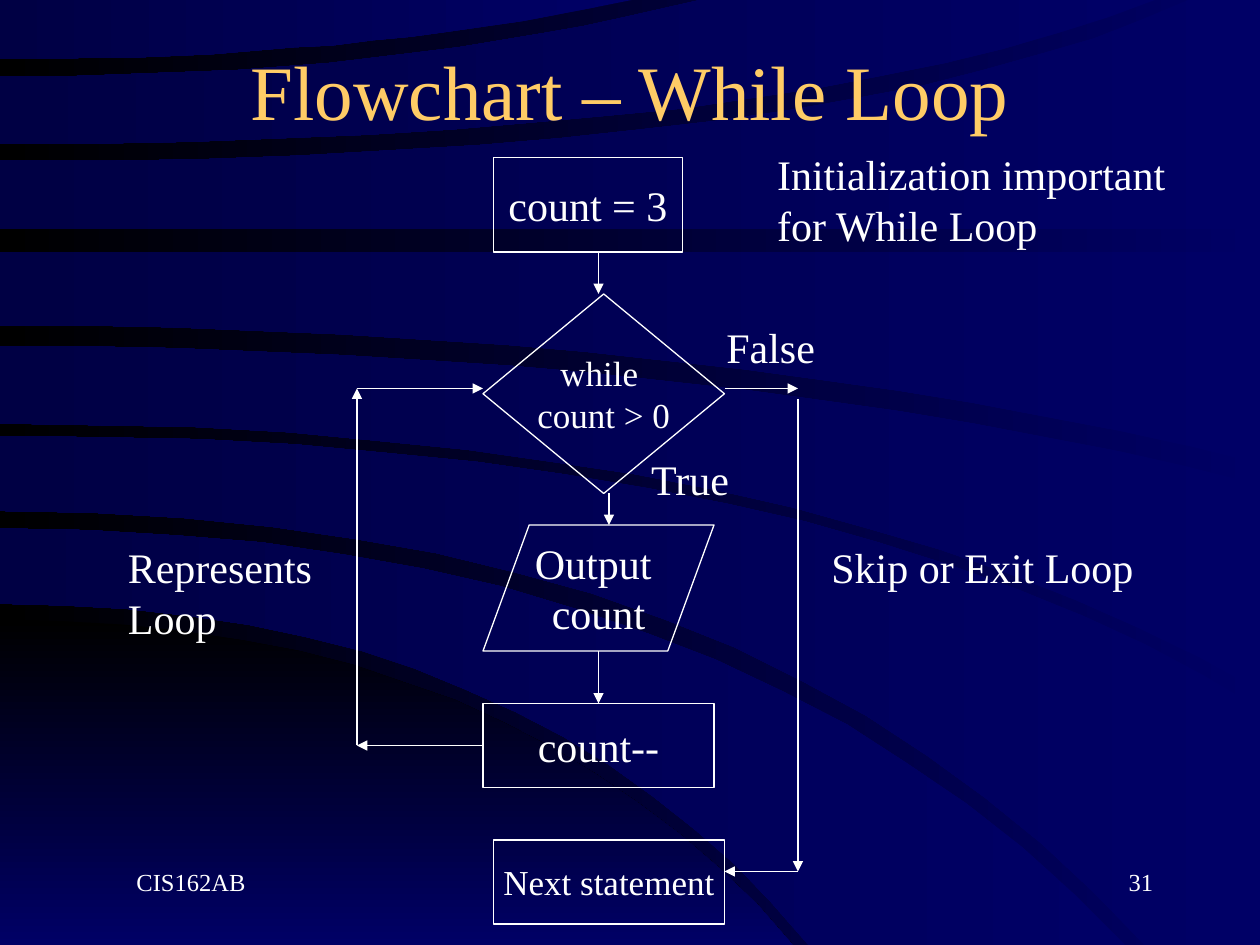
"""Build the slide with the flowchart of a while loop."""
from lxml import etree
from pptx import Presentation
from pptx.dml.color import RGBColor
from pptx.enum.shapes import MSO_CONNECTOR, MSO_SHAPE
from pptx.enum.text import MSO_ANCHOR, PP_ALIGN
from pptx.oxml.ns import qn
from pptx.util import Pt

PROCESS = MSO_SHAPE.FLOWCHART_PROCESS
DECISION = MSO_SHAPE.FLOWCHART_DECISION
DATA = MSO_SHAPE.FLOWCHART_DATA
RECTANGLE = MSO_SHAPE.RECTANGLE
STRAIGHT = MSO_CONNECTOR.STRAIGHT
LEFT, CENTER, RIGHT = PP_ALIGN.LEFT, PP_ALIGN.CENTER, PP_ALIGN.RIGHT
MIDDLE = MSO_ANCHOR.MIDDLE

WHITE = RGBColor(0xFF, 0xFF, 0xFF)
GOLD = RGBColor(0xFF, 0xCC, 0x66)
BLACK = RGBColor(0x00, 0x00, 0x00)
BLUE = RGBColor(0x00, 0x00, 0x66)
NAVY = RGBColor(0x00, 0x00, 0x44)

FONT = "Times New Roman"
TOP_SIDE, LEFT_SIDE = 0, 1
CURVE_STEPS = 16
WIDTH, HEIGHT = 720, 540

HILL = (354, 294, 453, HEIGHT), (HEIGHT, 226, 453, HEIGHT), []
BANDS = [
    ((302, 418, 643, HEIGHT), (345, 302, 462, HEIGHT), []),
    ((249, 472, WIDTH, 405), (292, 432, 654, HEIGHT), [(WIDTH, HEIGHT)]),
    ((198, 404, WIDTH, 277), (242, 458, WIDTH, 395), []),
    ((144, 360, WIDTH, 144), (186, 400, WIDTH, 265), []),
    ((92, 480, 679, 0), (131, 360, WIDTH, 131), [(WIDTH, 0)]),
    ((44, 226, 400, 0), (82, 450, 660, 0), []),
    ((0, 180, 361, 0), (34, 200, 361, 0), []),
]


def set_gradient(fill, start, end, angle):
    """Give a fill a linear gradient of two colours."""
    fill.gradient()
    fill.gradient_angle = angle
    for stop, color in zip(fill.gradient_stops, (start, end)):
        stop.color.rgb = color


def curve_points(start_y, control_x, end_x, end_y):
    """Return points of a quadratic curve that leaves the left edge level."""
    points = []
    for step in range(CURVE_STEPS + 1):
        t = step / CURVE_STEPS
        x = 2 * t * (1 - t) * control_x + t * t * end_x
        points.append((x, start_y + t * t * (end_y - start_y)))
    return points


def add_band(slide, band, start, end, angle):
    """Draw the area between an upper and a lower curve."""
    upper, lower, corners = band
    points = curve_points(*upper) + corners + curve_points(*lower)[::-1]
    builder = slide.shapes.build_freeform(*points[0], scale=Pt(1))
    builder.add_line_segments(points[1:], close=True)
    shape = builder.convert_to_shape()
    shape.shadow.inherit = False
    shape.line.fill.background()
    set_gradient(shape.fill, start, end, angle)


def write_text(shape, lines, size, color=WHITE, alignment=LEFT, wrap=True):
    """Write one paragraph whose lines are parted by line breaks."""
    shape.text_frame.word_wrap = wrap
    paragraph = shape.text_frame.paragraphs[0]
    paragraph.alignment = alignment
    for index, line in enumerate(lines):
        if index:
            paragraph.add_line_break()
        run = paragraph.add_run()
        run.text = line
        run.font.name = FONT
        run.font.size = Pt(size)
        run.font.color.rgb = color


def add_title(slide, text):
    """Place the title in front of the bands."""
    title = slide.shapes.title
    title.element.getparent().append(title.element)
    title.left, title.top, title.width, title.height = Pt(54), Pt(18), Pt(612), Pt(66)
    title.text_frame.vertical_anchor = MIDDLE
    write_text(title, [text], 44, GOLD, CENTER)


def add_step(slide, kind, box, lines, size):
    """Add one outlined flowchart symbol."""
    shape = slide.shapes.add_shape(kind, *map(Pt, box))
    shape.shadow.inherit = False
    shape.fill.background()
    shape.line.color.rgb = WHITE
    shape.line.width = Pt(0.75)
    shape.text_frame.vertical_anchor = MIDDLE
    write_text(shape, lines, size, alignment=CENTER, wrap=False)
    return shape


def add_arrow(slide, start, end):
    """Add a straight arrow between two points."""
    arrow = slide.shapes.add_connector(STRAIGHT, *map(Pt, start + end))
    arrow.line.color.rgb = WHITE
    arrow.line.width = Pt(0.75)
    line = arrow.element.spPr.find(qn("a:ln"))
    etree.SubElement(line, qn("a:tailEnd"), type="triangle")
    etree.SubElement(arrow.element.spPr, qn("a:effectLst"))
    return arrow


def add_label(slide, box, text, size=24, alignment=LEFT, wrap=True):
    """Add a text box and return it."""
    label = slide.shapes.add_textbox(*map(Pt, box))
    write_text(label, [text], size, alignment=alignment, wrap=wrap)
    return label


def main():
    """Build and save the slide."""
    presentation = Presentation()
    presentation.slide_width, presentation.slide_height = Pt(WIDTH), Pt(HEIGHT)
    slide = presentation.slides.add_slide(presentation.slide_layouts[5])
    set_gradient(slide.background.fill, BLUE, BLACK, 180)
    add_band(slide, HILL, BLACK, BLUE, 270)
    for band in BANDS:
        add_band(slide, band, BLUE, NAVY, 180)
    add_title(slide, "Flowchart – While Loop")

    add_step(slide, PROCESS, (282, 90, 108, 54), ["count = 3"], 24)
    add_step(slide, DECISION, (276, 168, 138, 114), ["while ", "count > 0"], 20)
    add_step(slide, DATA, (276, 300, 132, 72), ["Output ", "count"], 24)
    decrement = add_step(slide, RECTANGLE, (276, 402, 132, 48), ["count--"], 24)
    add_step(slide, RECTANGLE, (282, 480, 132, 48), ["Next statement"], 20)

    add_arrow(slide, (342, 144), (342, 168))
    add_arrow(slide, (348, 282), (348, 300))
    add_arrow(slide, (342, 372), (342, 402)).end_connect(decrement, TOP_SIDE)
    add_arrow(slide, (276, 426), (204, 426)).begin_connect(decrement, LEFT_SIDE)
    add_arrow(slide, (204, 426), (204, 222))
    add_arrow(slide, (204, 222), (276, 222))
    add_arrow(slide, (414, 222), (456, 222))
    add_arrow(slide, (456, 228), (456, 498))
    add_arrow(slide, (456, 498), (414, 498))

    add_label(slide, (408, 180, 65, 36), "False", wrap=False)
    add_label(slide, (365, 255.5, 60, 36), "True", wrap=False)
    add_label(slide, (468, 306, 187, 36), "Skip or Exit Loop", wrap=False)
    add_label(slide, (66, 306, 132, 65), "Represents Loop")
    add_label(slide, (437, 81.5, 253.5, 65), "Initialization important for While Loop")
    add_label(slide, (516, 492, 150, 36), "31", 14, RIGHT)
    footer = add_label(slide, (54, 492, 150, 36), "CIS162AB", 14)
    footer.text_frame.margin_left = Pt(24)
    presentation.save("out.pptx")


if __name__ == "__main__":
    main()
